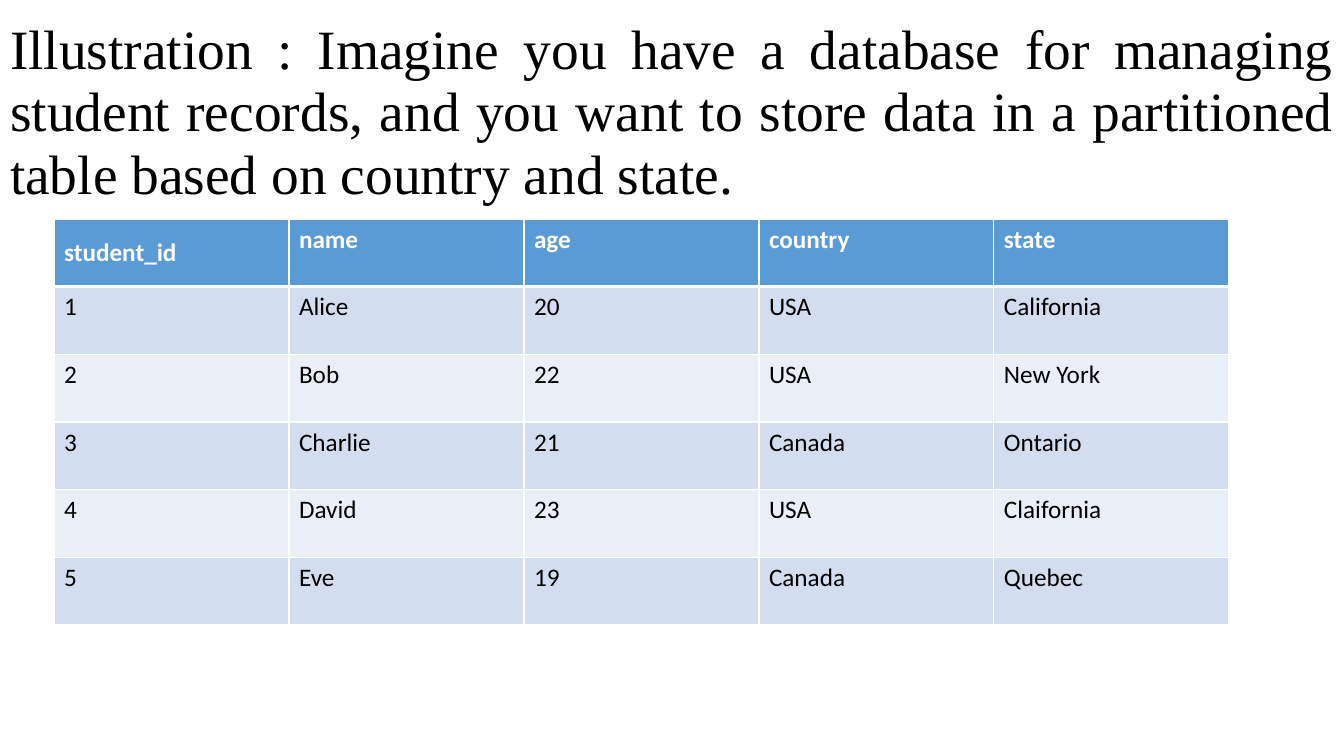
from lxml.etree import SubElement
from pptx import Presentation
from pptx.dml.color import RGBColor
from pptx.enum.text import MSO_ANCHOR, MSO_AUTO_SIZE, PP_ALIGN
from pptx.oxml.ns import qn
from pptx.util import Emu, Pt

HEADING = (
    "Illustration : Imagine you have a database for managing student records, "
    "and you want to store data in a partitioned table based on country and state."
)
STUDENTS = [
    ["student_id", "name", "age", "country", "state"],
    ["1", "Alice", "20", "USA", "California"],
    ["2", "Bob", "22", "USA", "New York"],
    ["3", "Charlie", "21", "Canada", "Ontario"],
    ["4", "David", "23", "USA", "Claifornia"],
    ["5", "Eve", "19", "Canada", "Quebec"],
]


def px(length):
    """Turn pixels into EMU."""
    return Emu(round(length * 914400 / 100.8))


def color(code):
    """Turn a hex string into a colour."""
    return RGBColor.from_string(code)


def write(frame, text, font, size, ink="000000", bold=False,
          align=PP_ALIGN.LEFT, spacing=1.0, anchor=MSO_ANCHOR.TOP):
    """Fill a text frame with one formatted paragraph."""
    frame.word_wrap = True
    frame.vertical_anchor = anchor
    para = frame.paragraphs[0]
    para.alignment = align
    para.line_spacing = spacing
    span = para.add_run()
    span.text = text
    span.font.name = font
    span.font.size = Pt(size)
    span.font.bold = bold
    span.font.color.rgb = color(ink)


def border(cell, side, points):
    """Draw a white line on one side of a cell."""
    properties = cell._tc.get_or_add_tcPr()
    line = SubElement(properties, qn(f"a:ln{side}"), w=str(Pt(points)))
    fill = SubElement(line, qn("a:solidFill"))
    SubElement(fill, qn("a:srgbClr"), val="FFFFFF")


class StudentPage:
    """Hold the style and the current slide."""

    title_font = "Times New Roman"
    table_font = "Calibri"
    header_fill = "5B9BD5"
    band_fills = ("EAEFF7", "D2DEEF")

    def __init__(self, deck):
        """Add a slide that has only a title."""
        self.page = deck.slides.add_slide(deck.slide_layouts[5])

    def title(self, text, left, top, width, height):
        """Place and format the title."""
        box = self.page.shapes.title
        box.left, box.top, box.width, box.height = map(px, (left, top, width, height))
        box.text_frame.auto_size = MSO_AUTO_SIZE.NONE
        write(box.text_frame, text, self.title_font, 39.6, align=PP_ALIGN.JUSTIFY,
              spacing=0.94, anchor=MSO_ANCHOR.MIDDLE)

    def table(self, rows, left, top, width, height):
        """Add a banded table with a header row."""
        bounds = map(px, (left, top, width, height))
        table = self.page.shapes.add_table(len(rows), len(rows[0]), *bounds).table
        for row, values in enumerate(rows):
            for column, text in enumerate(values):
                self.cell(table.cell(row, column), text, row, column)

    def cell(self, cell, text, row, column):
        """Format one table cell by its row and column."""
        header = row == 0
        widths = {"L": 1, "R": 1, "T": 3 if row == 1 else 1, "B": 3 if header else 1}
        for side, points in widths.items():
            border(cell, side, points)
        cell.fill.solid()
        fill = self.header_fill if header else self.band_fills[row % 2]
        cell.fill.fore_color.rgb = color(fill)
        write(cell.text_frame, text, self.table_font, 18, bold=header,
              ink="FFFFFF" if header else "000000")
        middle = header and column == 0
        cell.vertical_anchor = MSO_ANCHOR.MIDDLE if middle else MSO_ANCHOR.TOP


def main():
    """Build and save the slide."""
    deck = Presentation()
    deck.slide_width, deck.slide_height = px(1344), px(756)
    page = StudentPage(deck)
    page.title(HEADING, 0, 40, 1344, 146)
    page.table(STUDENTS, 54, 219, 1175, 406)
    deck.save("out.pptx")


if __name__ == "__main__":
    main()
